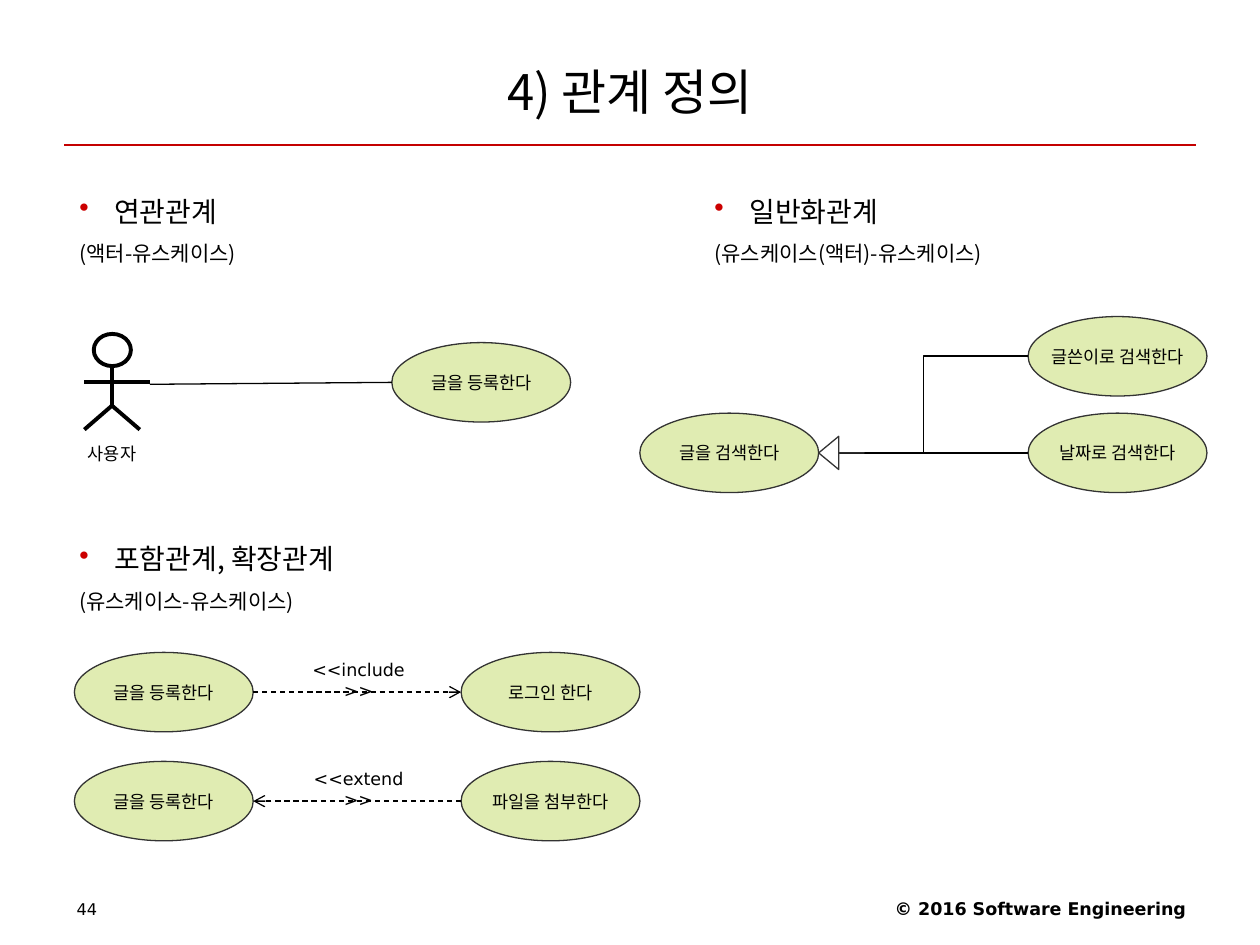
from lxml.etree import SubElement
from pptx import Presentation
from pptx.dml.color import RGBColor
from pptx.enum.dml import MSO_LINE
from pptx.enum.shapes import MSO_CONNECTOR as Connector, MSO_SHAPE as Shape
from pptx.enum.text import MSO_ANCHOR as Anchor, MSO_AUTO_SIZE as AutoSize, PP_ALIGN as Align
from pptx.oxml.ns import qn
from pptx.util import Pt

OVAL_WIDTH, OVAL_HEIGHT = 102.2, 45.4


def color(value):
    return RGBColor.from_string(value)


class UseCaseSlide:
    korean = "Noto Sans CJK KR"
    latin = "DejaVu Sans"
    ink = "000000"
    outline = "333333"
    oval_fill = "E0ECB2"
    bullet = "CC0000"
    rule = "C40000"

    def __init__(self, presentation):
        self.slide = presentation.slides.add_slide(presentation.slide_layouts[5])
        self.shapes = self.slide.shapes

    def format_paragraph(self, paragraph, size, font, align=Align.LEFT, bold=False):
        paragraph.alignment = align
        for run in paragraph.runs:
            run.font.size = Pt(size)
            run.font.bold = bold
            run.font.name = font
            run.font.color.rgb = color(self.ink)
            SubElement(run.font._element, qn("a:ea"), typeface=font)

    def title(self, text, left, top, width, height):
        shape = self.shapes.title
        shape.left, shape.top, shape.width, shape.height = map(Pt, (left, top, width, height))
        shape.text_frame.text = text
        shape.text_frame.vertical_anchor = Anchor.MIDDLE
        self.format_paragraph(shape.text_frame.paragraphs[0], 28, self.korean, Align.CENTER)

    def text_box(self, left, top, width, height, wrap=True):
        frame = self.shapes.add_textbox(*map(Pt, (left, top, width, height))).text_frame
        frame.word_wrap = wrap
        if not wrap:
            frame.auto_size = AutoSize.SHAPE_TO_FIT_TEXT
        return frame

    def label(self, text, left, top, width, height, size=10, font=latin,
              align=Align.LEFT, bold=False, wrap=False):
        frame = self.text_box(left, top, width, height, wrap)
        frame.text = text
        self.format_paragraph(frame.paragraphs[0], size, font, align, bold)

    def heading(self, text, detail, left, top, width):
        frame = self.text_box(left, top, width, 49.7)
        frame.margin_left = frame.margin_right = Pt(8.64)
        frame.margin_top = frame.margin_bottom = Pt(4.32)
        frame.text = text
        first, second = frame.paragraphs[0], frame.add_paragraph()
        second.text = detail
        first.space_before, second.space_before = Pt(10), Pt(7.5)
        self.format_paragraph(first, 16, self.korean)
        self.format_paragraph(second, 12, self.korean)
        properties = first._p.get_or_add_pPr()
        properties.set("marL", str(Pt(20)))
        properties.set("indent", str(Pt(-20)))
        bullet_color = SubElement(properties, qn("a:buClr"))
        SubElement(bullet_color, qn("a:srgbClr"), val=self.bullet)
        SubElement(properties, qn("a:buChar"), char="•")

    def outlined(self, kind, left, top, width, height, fill=None, line=outline,
                 weight=0.75, shapes=None):
        shape = (shapes or self.shapes).add_shape(kind, *map(Pt, (left, top, width, height)))
        shape.shadow.inherit = False
        if fill:
            shape.fill.solid()
            shape.fill.fore_color.rgb = color(fill)
        else:
            shape.fill.background()
        shape.line.color.rgb = color(line)
        shape.line.width = Pt(weight)
        return shape

    def use_case(self, text, left, top):
        shape = self.outlined(Shape.OVAL, left, top, OVAL_WIDTH, OVAL_HEIGHT, self.oval_fill)
        frame = shape.text_frame
        frame.text = text
        frame.word_wrap = False
        frame.vertical_anchor = Anchor.MIDDLE
        self.format_paragraph(frame.paragraphs[0], 10, self.korean, Align.CENTER)

    def line(self, start, end, weight=0.75, line=ink, kind=Connector.STRAIGHT,
             dashed=False, arrow=False, shapes=None):
        connector = (shapes or self.shapes).add_connector(kind, *map(Pt, (*start, *end)))
        connector.line.color.rgb = color(line)
        connector.line.width = Pt(weight)
        if dashed:
            connector.line.dash_style = MSO_LINE.DASH
        if arrow:
            SubElement(connector.line._get_or_add_ln(), qn("a:tailEnd"), type="arrow")
        SubElement(connector._element.spPr, qn("a:effectLst"))

    def actor(self, name, left, top):
        shapes = self.shapes.add_group_shape().shapes
        center, hip = left + 15.8, top + 41
        limbs = [
            ((left, top + 27.4), (left + 37.4, top + 27.4)),
            ((center, top + 18), (center, hip)),
            ((center, hip), (left, top + 54.7)),
            ((center, hip), (left + 31.7, top + 54.7)),
        ]
        for start, end in limbs:
            self.line(start, end, 2.25, shapes=shapes)
        self.outlined(Shape.OVAL, left + 5.4, top, 21.2, 18.4,
                      line=self.ink, weight=2.25, shapes=shapes)
        self.label(name, left - 5, top + 59, 43.2, 19.4, font=self.korean)

    def dependency(self, source, target, stereotype, top, reverse=False):
        left, right = 42.5, 263.5
        self.use_case(source, left, top)
        self.use_case(target, right, top)
        middle = top + OVAL_HEIGHT / 2
        ends = [(left + OVAL_WIDTH, middle), (right, middle)]
        if reverse:
            ends.reverse()
        self.line(*ends, dashed=True, arrow=True)
        self.label(stereotype, 169.2, top, 71.3, 19.4, align=Align.CENTER)

    def generalization(self, parent, children, parent_left, child_left, tops):
        parent_top = tops[-1]
        tip = (parent_left + OVAL_WIDTH, parent_top + OVAL_HEIGHT / 2)
        self.use_case(parent, parent_left, parent_top)
        for child, top in zip(children, tops):
            self.use_case(child, child_left, top)
            kind = Connector.STRAIGHT if top == parent_top else Connector.ELBOW
            self.line((child_left, top + OVAL_HEIGHT / 2), tip, 1, kind=kind)
        width, height = 19, 26
        arrow = self.outlined(Shape.UP_ARROW, tip[0] + (height - width) / 2,
                              tip[1] - height / 2, width, height, "FFFFFF")
        arrow.adjustments[0] = 0
        arrow.adjustments[1] = 0.605
        arrow.rotation = 270


def main():
    presentation = Presentation()
    presentation.slide_width, presentation.slide_height = Pt(720), Pt(540)
    page = UseCaseSlide(presentation)

    page.line((36.7, 82.8), (683.3, 82.8), line=page.rule)
    page.title("4) 관계 정의", 36, 21.6, 648, 61.2)
    page.label("© 2016 Software Engineering", 456.5, 509.8, 228.2, 20.9,
               align=Align.RIGHT, bold=True, wrap=True)
    page.label("44", 36.7, 510.5, 167.8, 20.2, size=9.2, wrap=True)

    page.heading("연관관계", "(액터-유스케이스)", 36.7, 106.6, 283.7)
    page.actor("사용자", 48.2, 190.8)
    page.use_case("글을 등록한다", 223.9, 195.8)
    page.line((85.7, 219.6), (223.9, 218.5))

    page.heading("일반화관계", "(유스케이스(액터)-유스케이스)", 399.6, 106.6, 272.2)
    page.generalization("글을 검색한다", ["글쓴이로 검색한다", "날짜로 검색한다"],
                        365.6, 587.5, [180.9, 236.1])

    page.heading("포함관계, 확장관계", "(유스케이스-유스케이스)", 36.7, 305.3, 221)
    page.dependency("글을 등록한다", "로그인 한다", "<<include>>", 372.8)
    page.dependency("글을 등록한다", "파일을 첨부한다", "<<extend>>", 435.1, reverse=True)

    presentation.save("out.pptx")


if __name__ == "__main__":
    main()
